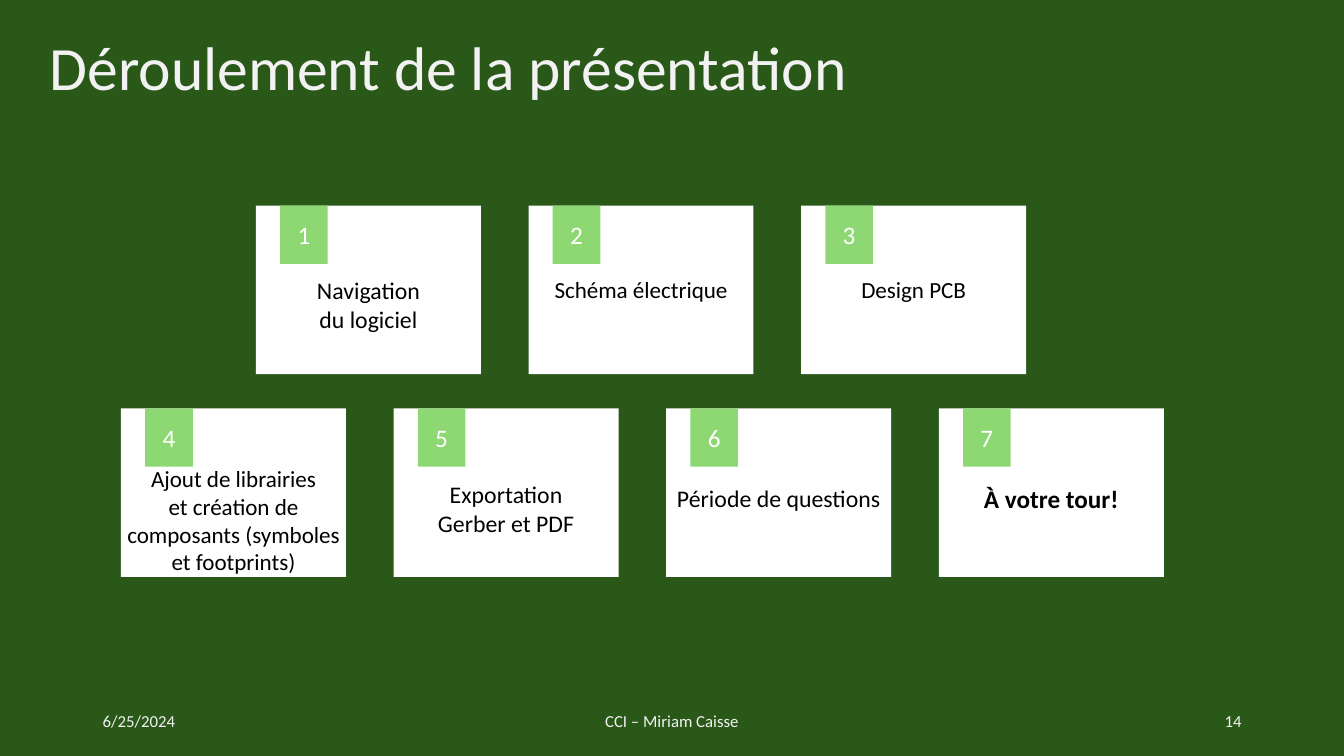
from dataclasses import dataclass

from pptx import Presentation
from pptx.dml.color import RGBColor
from pptx.enum.shapes import MSO_SHAPE
from pptx.enum.text import MSO_ANCHOR, MSO_AUTO_SIZE, PP_ALIGN
from pptx.shapes.autoshape import Shape
from pptx.shapes.shapetree import GroupShapes, SlideShapes
from pptx.text.text import TextFrame
from pptx.util import Cm, Pt

RECTANGLE = MSO_SHAPE.RECTANGLE
TOP, MIDDLE = MSO_ANCHOR.TOP, MSO_ANCHOR.MIDDLE
LEFT, CENTER, RIGHT = PP_ALIGN.LEFT, PP_ALIGN.CENTER, PP_ALIGN.RIGHT
GROW = MSO_AUTO_SIZE.SHAPE_TO_FIT_TEXT

FONT = "Calibri"
COLORS = {
    "background": "295818",
    "heading": "F2F2F2",
    "card": "FFFFFF",
    "badge": "8ED873",
    "number": "FFFFFF",
    "caption": "000000",
}

# Grid of cards, in centimetres
CARD_WIDTH, CARD_HEIGHT = 5.67, 4.25
CARD_PITCH = 6.87
BADGE_WIDTH, BADGE_HEIGHT, BADGE_INDENT = 1.2, 1.47, 0.61


@dataclass
class Step:
    paragraphs: list[str]
    caption_offset: float
    caption_height: float
    size: float
    bold: bool = False


@dataclass
class Row:
    left: float
    top: float
    steps: list[Step]


@dataclass
class Label:
    text: str
    left: float
    top: float
    width: float
    height: float
    size: float
    align: PP_ALIGN
    line_spacing: float = 1.0


ROWS = [
    Row(6.45, 5.18, [
        Step(["Navigation\ndu logiciel"], 1.77, 2.16, 17),
        Step(["Schéma électrique"], 1.77, 0.71, 16.5),
        Step(["Design PCB"], 1.77, 0.71, 16.5),
    ]),
    Row(3.05, 10.29, [
        Step(["Ajout de librairies",
              "et création de composants (symboles et footprints)"],
             1.42, 2.82, 16.5),
        Step(["Exportation\nGerber et PDF"], 1.8, 1.45, 17),
        Step(["Période de questions"], 1.9, 1.42, 17),
        Step(["À votre tour!"], 1.9, 0.76, 18, bold=True),
    ]),
]

LABELS = [
    Label("Déroulement de la présentation", 1, 0.56, 29.21, 2.44, 44, LEFT, 0.9),
    Label("6/25/2024", 2.34, 17.65, 7.62, 1.02, 12, LEFT),
    Label("CCI – Miriam Caisse", 11.22, 17.65, 11.43, 1.02, 12, CENTER),
    Label("14", 23.92, 17.65, 7.62, 1.02, 12, RIGHT),
]


def write(frame: TextFrame, paragraphs: list[str], color: str, size: float,
          align: PP_ALIGN, anchor: MSO_ANCHOR = MIDDLE, bold: bool = False,
          line_spacing: float = 1.0) -> None:
    frame.word_wrap = True
    frame.vertical_anchor = anchor
    font_format = {"name": FONT, "size": Pt(size), "bold": bold}
    for index, text in enumerate(paragraphs):
        para = frame.add_paragraph() if index else frame.paragraphs[0]
        para.text = text
        para.alignment = align
        para.line_spacing = line_spacing
        for span in para.runs:
            for name, value in font_format.items():
                setattr(span.font, name, value)
            span.font.color.rgb = RGBColor.from_string(COLORS[color])


def add_block(shapes: GroupShapes, left: float, top: float, width: float,
              height: float, color: str) -> Shape:
    block = shapes.add_shape(RECTANGLE, Cm(left), Cm(top), Cm(width), Cm(height))
    block.shadow.inherit = False
    block.fill.solid()
    block.fill.fore_color.rgb = RGBColor.from_string(COLORS[color])
    block.line.fill.background()
    return block


def add_card(shapes: SlideShapes, step: Step, number: int, left: float,
             top: float) -> None:
    parts = shapes.add_group_shape().shapes
    add_block(parts, left, top, CARD_WIDTH, CARD_HEIGHT, "card")

    caption = parts.add_textbox(Cm(left), Cm(top + step.caption_offset),
                                Cm(CARD_WIDTH), Cm(step.caption_height))
    frame = caption.text_frame
    for side in ("left", "top", "right", "bottom"):
        setattr(frame, f"margin_{side}", 0)
    write(frame, step.paragraphs, "caption", step.size, CENTER, TOP, step.bold)
    frame.auto_size = GROW

    badge = add_block(parts, left + BADGE_INDENT, top, BADGE_WIDTH, BADGE_HEIGHT,
                      "badge")
    write(badge.text_frame, [str(number)], "number", 18, CENTER)


def add_label(shapes: SlideShapes, label: Label) -> None:
    box = shapes.add_textbox(Cm(label.left), Cm(label.top),
                             Cm(label.width), Cm(label.height))
    write(box.text_frame, [label.text], "heading", label.size, label.align,
          line_spacing=label.line_spacing)


def main() -> None:
    deck = Presentation()
    deck.slide_width, deck.slide_height = Cm(33.87), Cm(19.05)
    page = deck.slides.add_slide(deck.slide_layouts[6])
    page.background.fill.solid()
    page.background.fill.fore_color.rgb = RGBColor.from_string(COLORS["background"])

    # Title and footer
    for label in LABELS:
        add_label(page.shapes, label)

    # Numbered steps
    number = 1
    for row in ROWS:
        for column, step in enumerate(row.steps):
            add_card(page.shapes, step, number, row.left + column * CARD_PITCH, row.top)
            number += 1

    deck.save("out.pptx")


if __name__ == "__main__":
    main()
